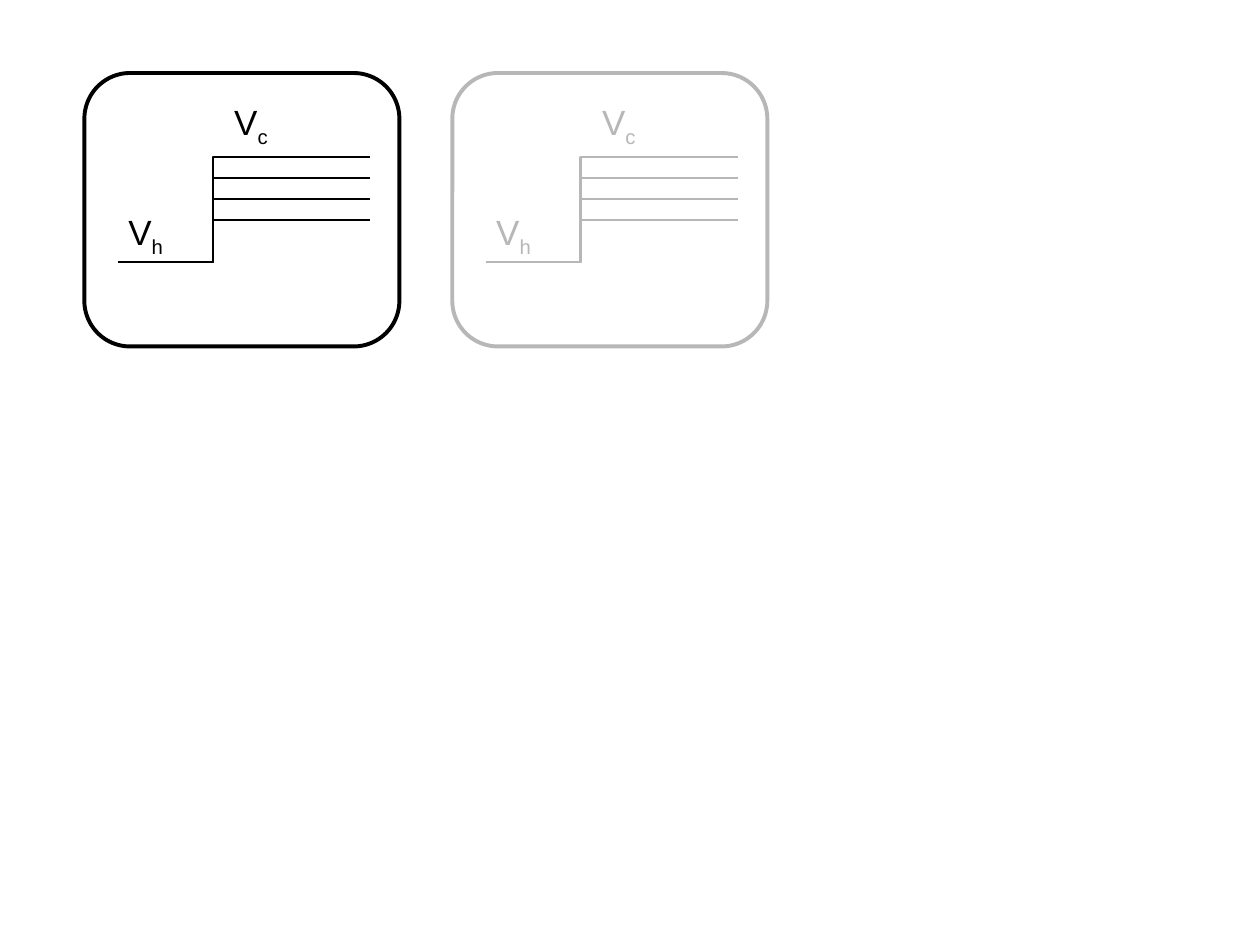
from dataclasses import dataclass

from pptx import Presentation
from pptx.dml.color import RGBColor
from pptx.enum.shapes import MSO_SHAPE
from pptx.enum.text import MSO_AUTO_SIZE
from pptx.util import Inches, Pt

ROUNDED = MSO_SHAPE.ROUNDED_RECTANGLE
GROW = MSO_AUTO_SIZE.SHAPE_TO_FIT_TEXT


@dataclass(frozen=True)
class Theme:
    """Colours, type and line widths of the slide."""
    active: RGBColor = RGBColor(0x00, 0x00, 0x00)
    faded: RGBColor = RGBColor(0xB7, 0xB7, 0xB7)
    panel: RGBColor = RGBColor(0xFF, 0xFF, 0xFF)
    font: str = "Arial"
    label_size: Pt = Pt(20)
    frame_width: Pt = Pt(2.25)
    step_width: Pt = Pt(1.5)


THEME = Theme()


def style_outline(shape, color, width):
    """Give a shape a flat outline."""
    shape.shadow.inherit = False
    shape.line.color.rgb = color
    shape.line.width = width


def add_frame(shapes, left, top, width, height, color):
    """Add the rounded frame of a protocol panel."""
    frame = shapes.add_shape(ROUNDED, Inches(left), Inches(top), Inches(width), Inches(height))
    frame.adjustments[0] = 0.167
    frame.fill.solid()
    frame.fill.fore_color.rgb = THEME.panel
    style_outline(frame, color, THEME.frame_width)


def add_step(shapes, left, base, rise, color):
    """Add a voltage step from the holding level up by the given rise."""
    onset, end, level = left + 0.75, left + 2, base - rise
    builder = shapes.build_freeform(Inches(left), Inches(base))
    corners = [(onset, base), (onset, level), (end, level)]
    builder.add_line_segments([(Inches(x), Inches(y)) for x, y in corners], close=False)
    step = builder.convert_to_shape()
    step.fill.background()
    style_outline(step, color, THEME.step_width)


def add_voltage_label(shapes, left, top, subscript, color):
    """Add a V with its subscript on one line."""
    label = shapes.add_textbox(Inches(left), Inches(top), Inches(0.47), Inches(0.48))
    frame = label.text_frame
    frame.word_wrap = False
    frame.auto_size = GROW
    frame.margin_right = Inches(0.05)
    paragraph = frame.paragraphs[0]
    paragraph.text = "V"
    index = paragraph.add_run()
    index.text = subscript
    for run in paragraph.runs:
        run.font.name = THEME.font
        run.font.size = THEME.label_size
        run.font.color.rgb = color
    index.font._element.set("baseline", "-25000")


def add_protocol_panel(slide, left, top, width, height, color):
    """Add one voltage-clamp protocol in the given box."""
    shapes = slide.shapes.add_group_shape().shapes
    add_frame(shapes, left, top, width, height, color)
    for sixths in (4, 3, 2, 5):
        add_step(shapes, left + 0.27, top + 1.5, sixths / 6, color)
    add_voltage_label(shapes, left + 0.25, top + 1.04, "h", color)
    add_voltage_label(shapes, left + 1.09, top + 0.17, "c", color)


def main():
    """Build and save the slide."""
    deck = Presentation()
    deck.slide_width, deck.slide_height = Inches(10), Inches(7.5)
    slide = deck.slides.add_slide(deck.slide_layouts[6])
    for column, color in enumerate((THEME.active, THEME.faded)):
        add_protocol_panel(slide, 0.67 + column * 2.92, 0.58, 2.5, 2.17, color)
    deck.save("out.pptx")


if __name__ == "__main__":
    main()
